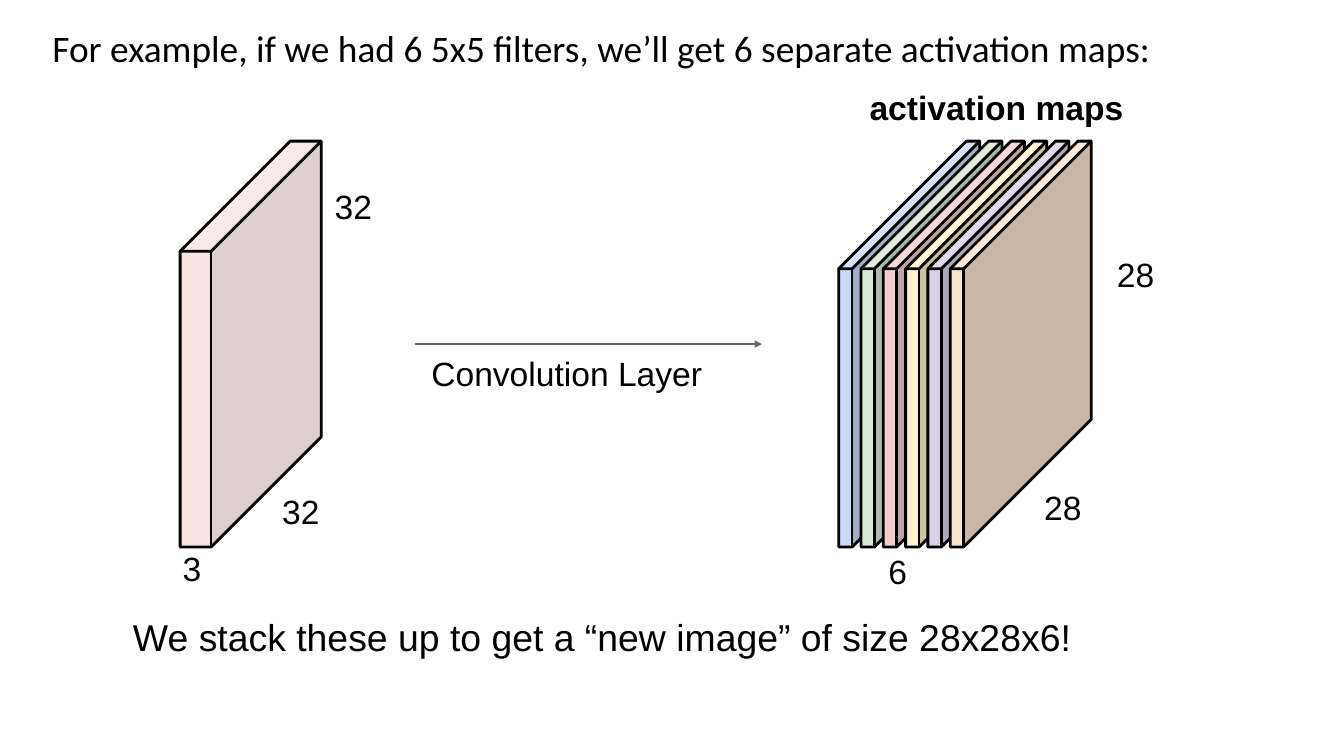
from pptx import Presentation
from pptx.dml.color import RGBColor
from pptx.enum.shapes import MSO_CONNECTOR
from pptx.enum.text import MSO_ANCHOR, MSO_AUTO_SIZE, PP_ALIGN
from pptx.oxml.ns import qn
from pptx.util import Inches, Pt
from lxml.etree import SubElement

BLACK = RGBColor(0x00, 0x00, 0x00)
GRAY = RGBColor(0x66, 0x66, 0x66)
BLUE = RGBColor(0xC8, 0xDA, 0xF7)
GREEN = RGBColor(0xD8, 0xE9, 0xD3)
PINK = RGBColor(0xF4, 0xCC, 0xCC)
YELLOW = RGBColor(0xFF, 0xF2, 0xCC)
PURPLE = RGBColor(0xD8, 0xD1, 0xE8)
ORANGE = RGBColor(0xFB, 0xE4, 0xCD)

BACK_TOP = 1.05
FRONT_BOTTOM = 4.07
FIRST_MAP, LAST_MAP = 6.24, 7.07
MAP_COLORS = (BLUE, GREEN, PINK, YELLOW, PURPLE, ORANGE)

LABELS = (
    ("32", 2.09, 3.64, 0.31, {}),
    ("32", 2.48, 1.37, 0.31, {}),
    ("3", 1.35, 4.07, 0.17, {}),
    ("Convolution Layer", 3.2, 2.62, 2.04, {}),
    ("activation maps", 6.46, 0.64, 1.92, {"bold": True}),
    ("6", 6.6, 4.09, 0.17, {}),
    ("28", 7.76, 3.61, 0.31, {}),
    ("28", 8.3, 1.88, 0.31, {}),
    ("We stack these up to get a “new image” of size 28x28x6!",
     0.98, 4.56, 7, {"size": Pt(20)}),
)


def darker(color):
    return RGBColor(*(round(channel * 0.8) for channel in color))


def lighter(color):
    return RGBColor(*(round(channel + (255 - channel) * 0.2) for channel in color))


def add_outline(slide, points, fill=None, opacity=100, closed=True):
    """Draw a filled face, or a black outline when no fill is given."""
    corners = [(Inches(x), Inches(y)) for x, y in points]
    builder = slide.shapes.build_freeform(*corners[0])
    builder.add_line_segments(corners[1:], close=closed)
    outline = builder.convert_to_shape()
    outline.shadow.inherit = False
    if fill is None:
        outline.fill.background()
        outline.line.color.rgb = BLACK
        outline.line.width = Pt(1.5)
        return
    outline.fill.solid()
    outline.fill.fore_color.rgb = fill
    if opacity < 100:
        color = next(outline._element.spPr.iter(qn("a:srgbClr")))
        SubElement(color, qn("a:alpha"), val=str(opacity * 1000))
    outline.line.fill.background()


def add_line(slide, start, end, color, width, arrow=False):
    line = slide.shapes.add_connector(
        MSO_CONNECTOR.STRAIGHT, *(Inches(value) for value in start + end))
    line.line.color.rgb = color
    line.line.width = Pt(width)
    if arrow:
        SubElement(line.line._get_or_add_ln(), qn("a:tailEnd"),
                   type="triangle", w="sm", len="sm")
    SubElement(line._element.spPr, qn("a:effectLst"))


def add_slab(slide, left, front_top, thickness, color, opacity=100):
    """Draw a box whose side recedes at 45 degrees up to BACK_TOP."""
    depth = front_top - BACK_TOP
    right = left + thickness
    top_left, top_right = (left, front_top), (right, front_top)
    bottom_left, bottom_right = (left, FRONT_BOTTOM), (right, FRONT_BOTTOM)
    back_left, back_right = (left + depth, BACK_TOP), (right + depth, BACK_TOP)
    back_bottom = (right + depth, FRONT_BOTTOM - depth)

    front = (top_left, top_right, bottom_right, bottom_left)
    side = (bottom_right, top_right, back_right, back_bottom)
    top = (top_right, top_left, back_left, back_right)
    for face, fill in ((front, color), (side, darker(color)), (top, lighter(color))):
        add_outline(slide, face, fill, opacity)
    add_outline(slide, (top_left, back_left, back_right, back_bottom,
                        bottom_right, bottom_left))
    add_outline(slide, (top_left, top_right, back_right), closed=False)
    add_line(slide, top_right, bottom_right, BLACK, 1.5)


def write_text(box, text, **font_format):
    frame = box.text_frame
    frame_format = {"word_wrap": True, "auto_size": MSO_AUTO_SIZE.NONE,
                    "margin_left": Inches(0.01), "margin_right": 0,
                    "margin_top": Inches(0.01), "margin_bottom": 0}
    for name, value in frame_format.items():
        setattr(frame, name, value)
    paragraph = frame.paragraphs[0]
    paragraph.alignment = PP_ALIGN.LEFT
    run = paragraph.add_run()
    run.text = text
    run.font.color.rgb = BLACK
    for name, value in ({"name": "Arial", "size": Pt(18)} | font_format).items():
        setattr(run.font, name, value)


def add_label(slide, text, left, top, width, font_format):
    label = slide.shapes.add_textbox(
        Inches(left), Inches(top), Inches(width), Inches(0.33))
    write_text(label, text, **font_format)


def add_title(slide, text):
    title = slide.shapes.title
    place = {"left": 0.38, "top": 0.17, "width": 8.96, "height": 0.36}
    for name, value in place.items():
        setattr(title, name, Inches(value))
    write_text(title, text, name="Calibri", size=Pt(20))
    title.text_frame.vertical_anchor = MSO_ANCHOR.MIDDLE


def main():
    deck = Presentation()
    deck.slide_width = Inches(10)
    deck.slide_height = deck.slide_width * 9 // 16
    slide = deck.slides.add_slide(deck.slide_layouts[5])

    add_title(slide, "For example, if we had 6 5x5 filters, "
                     "we’ll get 6 separate activation maps:")
    add_slab(slide, 1.34, 1.87, 0.23, PINK, opacity=52)
    add_line(slide, (3.09, 2.56), (5.67, 2.56), GRAY, 0.75, arrow=True)
    gap = (LAST_MAP - FIRST_MAP) / (len(MAP_COLORS) - 1)
    for index, color in enumerate(MAP_COLORS):
        add_slab(slide, FIRST_MAP + index * gap, 2, 0.1, color)
    for label in LABELS:
        add_label(slide, *label)

    deck.save("out.pptx")


if __name__ == "__main__":
    main()
